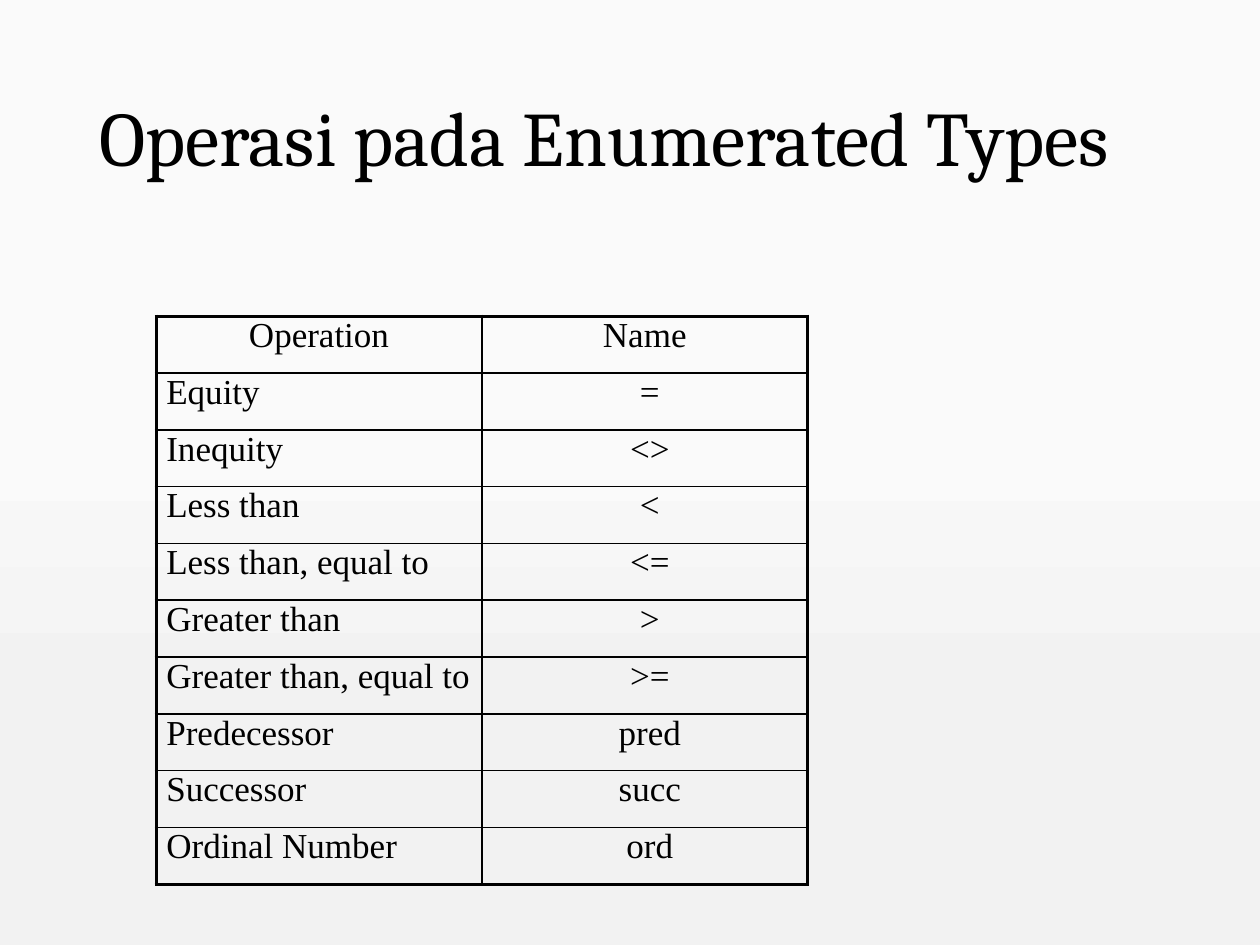
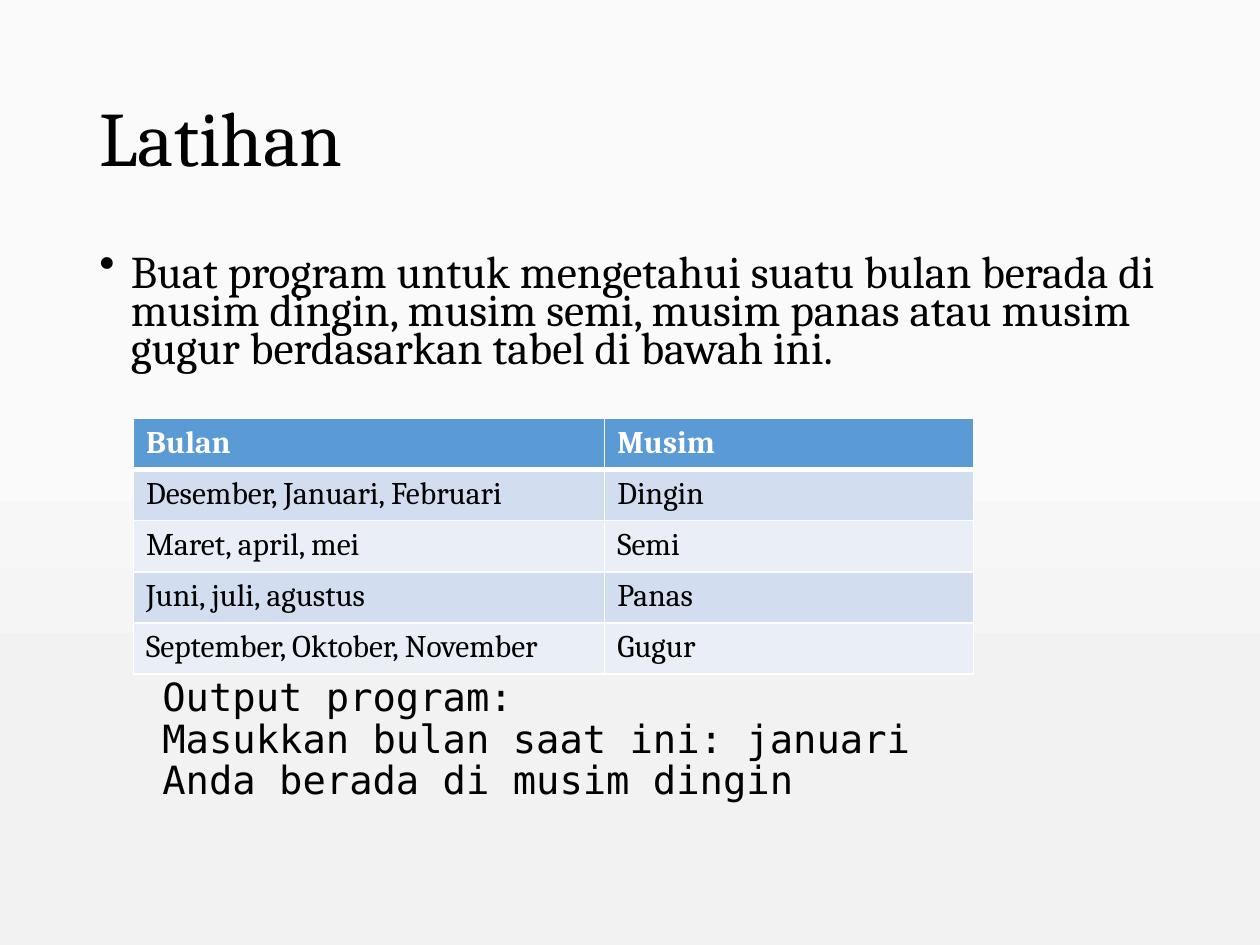
import pptx
import pptx.util
import pptx.dml.color
import pptx.enum.text
import pptx.oxml
import pptx.oxml.ns

RGBColor = pptx.dml.color.RGBColor
ALIGN = pptx.enum.text.PP_ALIGN
ANCHOR = pptx.enum.text.MSO_ANCHOR
Pt = pptx.util.Pt

BLACK = RGBColor(0x00, 0x00, 0x00)
WHITE = RGBColor(0xFF, 0xFF, 0xFF)
PAPER_TOP = RGBColor(0xFA, 0xFA, 0xFA)
PAPER_BOTTOM = RGBColor(0xF2, 0xF2, 0xF2)
HEADER_BLUE = RGBColor(0x5B, 0x9B, 0xD5)
BAND_DARK = RGBColor(0xD2, 0xDE, 0xEF)
BAND_LIGHT = RGBColor(0xEA, 0xEF, 0xF7)

COLUMNS, ROWS = 100, 75
SERIF = "Cambria"
MONO = "DejaVu Sans Mono"
TABLE_SERIF = "Times New Roman"


def assign(target, values):
    for key, value in values.items():
        setattr(target, key, value)


class Lesson:
    title_font = {"name": SERIF, "size": Pt(44)}

    def __init__(self):
        self.deck = pptx.Presentation()
        assign(self.deck, {"slide_width": pptx.util.Inches(10),
                           "slide_height": pptx.util.Inches(7.5)})
        self.slide = None

    def x(self, columns):
        return round(self.deck.slide_width * columns / COLUMNS)

    def y(self, rows):
        return round(self.deck.slide_height * rows / ROWS)

    def page(self, heading):
        self.slide = self.deck.slides.add_slide(self.deck.slide_layouts[6])
        paper = self.slide.background.fill
        paper.gradient()
        paper.gradient_angle = 270
        shades = ((0.46, PAPER_TOP), (0.74, PAPER_BOTTOM))
        for stop, (position, color) in zip(paper.gradient_stops, shades):
            stop.position = position
            stop.color.rgb = color
        frame = self.frame(6.9, 4, 86.2, 14.5, ANCHOR.MIDDLE)
        self.wording(frame.paragraphs[0], heading, self.title_font,
                     {"line_spacing": 0.9})

    def frame(self, left, top, width, height, anchor=ANCHOR.TOP):
        box = self.slide.shapes.add_textbox(
            self.x(left), self.y(top), self.x(width), self.y(height))
        assign(box.text_frame, {"word_wrap": True, "vertical_anchor": anchor})
        return box.text_frame

    def wording(self, paragraph, words, font, layout, color=BLACK):
        assign(paragraph, layout)
        run = paragraph.add_run()
        run.text = words
        assign(run.font, font)
        run.font.color.rgb = color

    def indent(self, paragraph, left, hanging, bullet=None):
        properties = paragraph._p.get_or_add_pPr()
        properties.set("marL", str(self.x(left)))
        properties.set("indent", str(-self.x(hanging)))
        if bullet:
            mark = pptx.oxml.parse_xml(
                f'<a:buChar {pptx.oxml.ns.nsdecls("a")} char="{bullet}"/>')
            properties.append(mark)

    def exercise(self, task, output, gap):
        frame = self.frame(6.9, 20, 86.2, 47.6)
        paragraph = frame.paragraphs[0]
        self.wording(paragraph, task, {"name": SERIF, "size": Pt(25.9)},
                     {"line_spacing": 0.7, "space_before": Pt(10)})
        self.indent(paragraph, 2.5, 2.5, "•")
        for number, words in enumerate(output):
            paragraph = frame.add_paragraph()
            self.wording(paragraph, words, {"name": MONO, "size": Pt(22.2)},
                         {"line_spacing": 0.7,
                          "space_before": Pt(5 if number else gap)})
            self.indent(paragraph, 5, 0)

    def table(self, left, top, widths, row_height, records, dress):
        grid = self.slide.shapes.add_table(
            len(records), len(widths), self.x(left), self.y(top),
            self.x(sum(widths)), self.y(row_height * len(records))).table
        assign(grid, {"first_row": False, "horz_banding": False})
        for column, width in zip(grid.columns, widths):
            column.width = self.x(width)
        for r, record in enumerate(records):
            grid.rows[r].height = self.y(row_height)
            for c, words in enumerate(record):
                dress(grid.cell(r, c), r, c, words, len(records) - 1)

    def borders(self, cell, color, widths):
        properties = cell._tc.get_or_add_tcPr()
        for place, (side, width) in enumerate(zip("LRTB", widths)):
            line = pptx.oxml.parse_xml(
                f'<a:ln{side} {pptx.oxml.ns.nsdecls("a")} w="{int(Pt(width))}">'
                f'<a:solidFill><a:srgbClr val="{color}"/></a:solidFill>'
                f'</a:ln{side}>')
            properties.insert(place, line)

    def operation_cell(self, cell, r, c, words, last):
        cell.fill.background()
        assign(cell, {"margin_left": self.x(0.8 if r else 0),
                      "margin_right": 0, "margin_top": 0, "margin_bottom": 0})
        centred = r == 0 or c == 1
        self.wording(cell.text_frame.paragraphs[0], words,
                     {"name": TABLE_SERIF, "size": Pt(20)},
                     {"alignment": ALIGN.CENTER if centred else ALIGN.LEFT})
        outer = (c == 0, c == 1, r == 0, r == last)
        self.borders(cell, BLACK, [2.25 if edge else 1 for edge in outer])

    def season_cell(self, cell, r, c, words, last):
        header = r == 0
        band = BAND_DARK if r % 2 else BAND_LIGHT
        cell.fill.solid()
        cell.fill.fore_color.rgb = HEADER_BLUE if header else band
        self.wording(cell.text_frame.paragraphs[0], words,
                     {"name": SERIF, "size": Pt(18), "bold": header}, {},
                     WHITE if header else BLACK)
        self.borders(cell, WHITE,
                     (1, 1, 3 if r == 1 else 1, 3 if header else 1))


OPERATIONS = [
    ("Operation", "Name"),
    ("Equity", "="),
    ("Inequity", "<>"),
    ("Less than", "<"),
    ("Less than, equal to", "<="),
    ("Greater than", ">"),
    ("Greater than, equal to", ">="),
    ("Predecessor", "pred"),
    ("Successor", "succ"),
    ("Ordinal Number", "ord"),
]
SEASONS = [
    ("Bulan", "Musim"),
    ("Desember, Januari, Februari", "Dingin"),
    ("Maret, april, mei", "Semi"),
    ("Juni, juli, agustus", "Panas"),
    ("September, Oktober, November", "Gugur"),
]
TASK = ("Buat program untuk mengetahui suatu bulan berada di musim dingin, "
        "musim semi, musim panas atau musim gugur berdasarkan tabel "
        "di bawah ini.")
OUTPUT = ("Output program:", "Masukkan bulan saat ini: januari",
          "Anda berada di musim dingin")

lesson = Lesson()

lesson.page("Operasi pada Enumerated Types")
lesson.table(12.4, 25.1, (25.85, 25.85), 4.51, OPERATIONS,
             lesson.operation_cell)

lesson.page("Latihan")
lesson.exercise(TASK, OUTPUT, gap=179)
lesson.table(10.6, 33.2, (37.4, 29.25), 4.06, SEASONS, lesson.season_cell)

lesson.deck.save("out.pptx")
